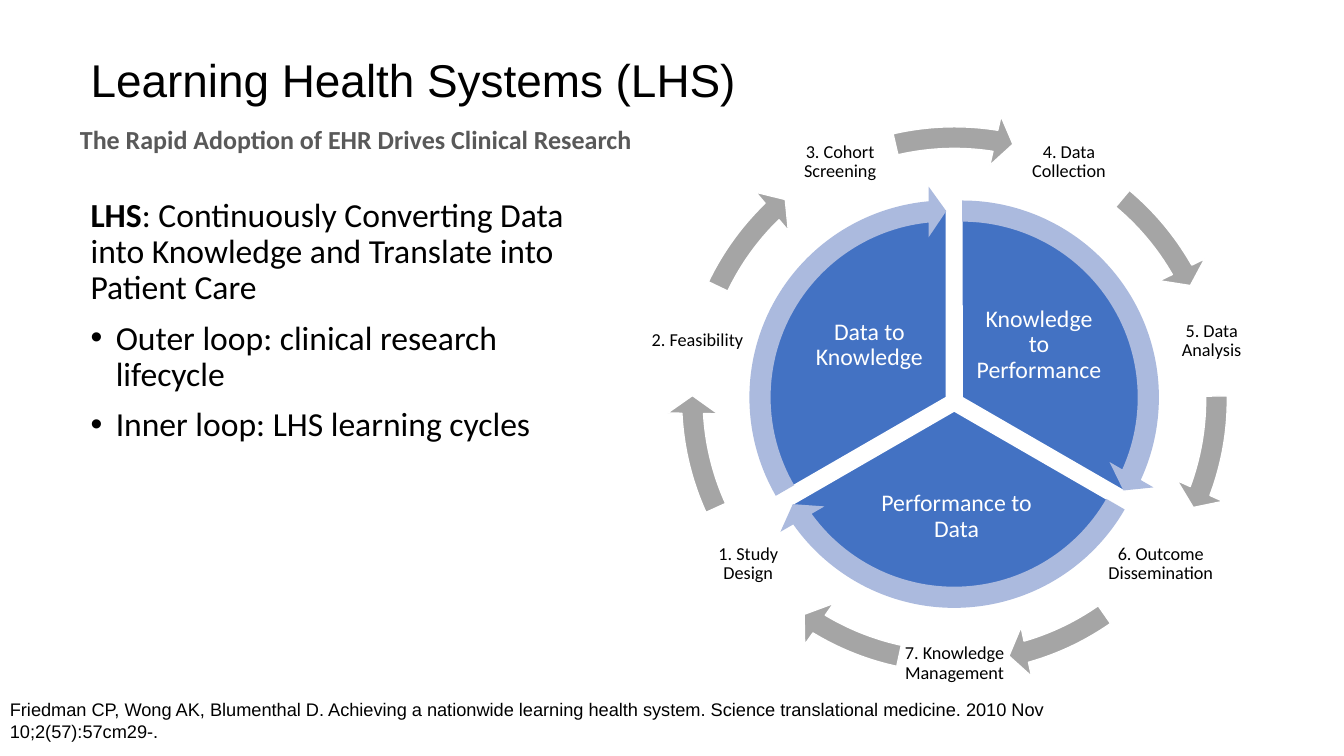
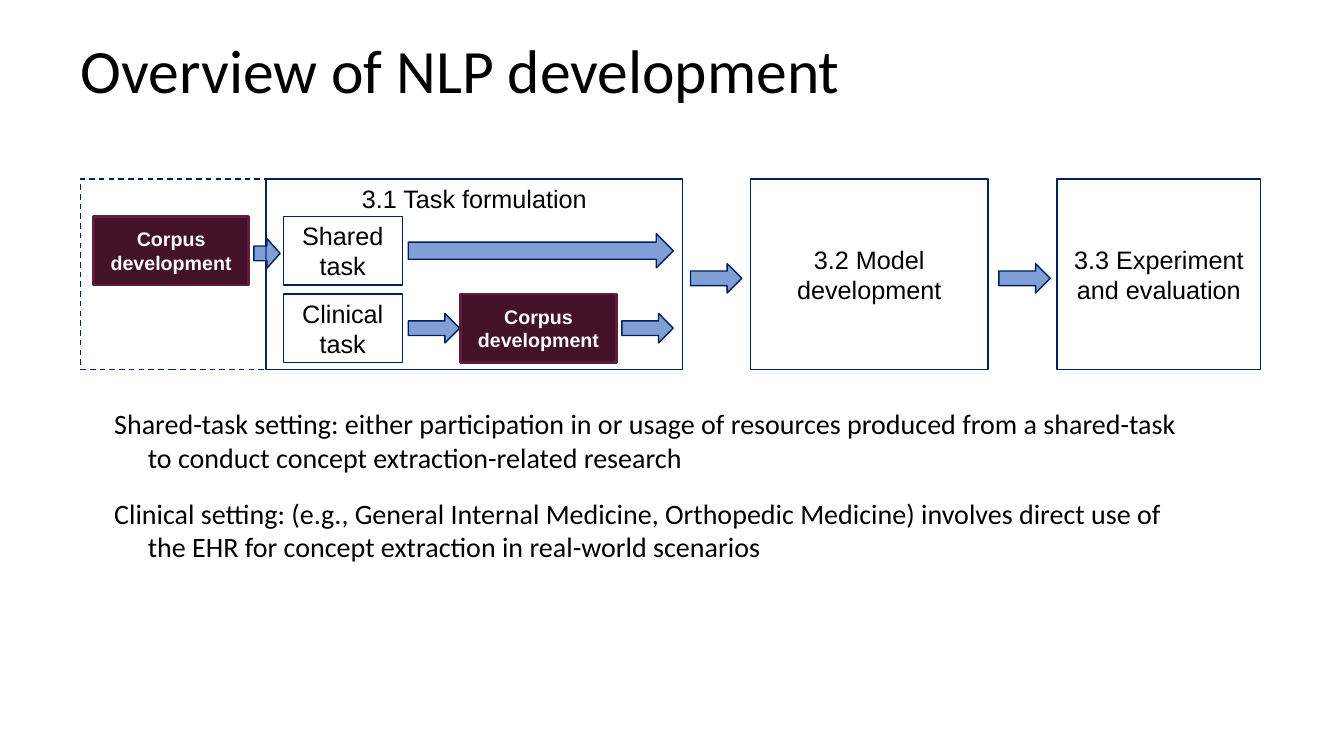
"""Build two slides: learning health system cycles and the NLP development flow."""
import dataclasses
import math
import typing

import lxml.etree
import pptx
import pptx.dml.color
import pptx.enum.dml
import pptx.enum.shapes
import pptx.enum.text
import pptx.oxml.ns
import pptx.util

Pt = pptx.util.Pt
Align = pptx.enum.text.PP_ALIGN
Anchor = pptx.enum.text.MSO_ANCHOR
Shapes = pptx.enum.shapes.MSO_SHAPE
Point = tuple[float, float]


@dataclasses.dataclass(frozen=True)
class Theme:
    sans: str = "Arial"
    body: str = "Calibri"
    black: str = "000000"
    white: str = "FFFFFF"
    gray: str = "595959"
    pie: str = "4372C3"
    pie_arrow: str = "ABBADE"
    loop_arrow: str = "A5A5A5"
    navy: str = "002060"
    flow_arrow: str = "4472C4"
    corpus: str = "431228"
    corpus_edge: str = "621B3B"
    title_small: float = 32.8
    title_large: float = 44
    subtitle: float = 18.6
    lead: float = 24
    notes: float = 20
    step: float = 18
    pie_label: float = 17
    corpus_label: float = 14
    small: float = 13


THEME = Theme()


@dataclasses.dataclass(frozen=True)
class Box:
    left: float
    top: float
    width: float
    height: float

    def points(self) -> list[pptx.util.Length]:
        return [Pt(value) for value in dataclasses.astuple(self)]


@dataclasses.dataclass(frozen=True)
class Style:
    size: float
    font: str = THEME.body
    color: str = THEME.black
    bold: bool = False
    align: typing.Any = Align.LEFT
    anchor: typing.Any = Anchor.TOP
    inset: Point = (7.2, 3.6)
    spacing: float = 1.0
    gap: float = 0


@dataclasses.dataclass(frozen=True)
class Line:
    text: str
    lead: str = ""
    margin: float = 0
    indent: float = 0
    bullet: str = ""


@dataclasses.dataclass(frozen=True)
class Ring:
    side: float
    thickness: float
    head_angle: float
    head_width: float
    fill: str
    edge: str = ""


@dataclasses.dataclass(frozen=True)
class Sector:
    label: str
    start: float
    label_box: Box


@dataclasses.dataclass(frozen=True)
class Stage:
    box: Box
    text: str
    style: Style
    fill: str = THEME.white
    edge: str = THEME.navy
    weight: float = 1
    dashed: bool = False


PIE_HUB: Point = (681.6, 287.1)
LOOP_HUB: Point = (681.8, 285.5)
PIE_SIDE = 268.6
PIE_OFFSET = 6.5
LABEL_RADIUS = 188.4
LABEL_SIDE = 79.2
PIE_RING = Ring(302.4, 0.05, 5.46, 0.06, THEME.pie_arrow)
LOOP_RING = Ring(410.4, 0.0376, 3.91, 0.0439, THEME.loop_arrow, THEME.white)

PIE_STYLE = Style(THEME.pie_label, color=THEME.white, align=Align.CENTER,
                  anchor=Anchor.MIDDLE, inset=(1.5, 1.5), spacing=0.9)
LOOP_STYLE = dataclasses.replace(PIE_STYLE, size=THEME.small, color=THEME.black)
STEP_STYLE = Style(THEME.step, THEME.sans, align=Align.CENTER,
                   anchor=Anchor.MIDDLE, inset=(9.4, 5))
TOP_STEP_STYLE = dataclasses.replace(STEP_STYLE, anchor=Anchor.TOP, inset=(9.4, 3))
CORPUS_STYLE = dataclasses.replace(STEP_STYLE, size=THEME.corpus_label,
                                   color=THEME.white, bold=True)

SECTORS = [
    Sector("Knowledge to Performance", 0, Box(694.3, 206.6, 95.8, 80)),
    Sector("Performance to Data", 120, Box(611.3, 334, 144, 70.6)),
    Sector("Data to Knowledge", 240, Box(573.1, 206.6, 95.8, 80)),
]
LOOP_LABELS = ["4. Data Collection", "5. Data Analysis", "6. Outcome Dissemination",
               "7. Knowledge Management", "1. Study Design", "2. Feasibility",
               "3. Cohort Screening"]
LOOP_ARROWS = [(39.9, 64.2), (89.2, 114.3), (145.1, 168), (192.2, 215),
               (245.6, 270.9), (295.6, 319.8), (347, 372.9)]


def color(value: str) -> pptx.dml.color.RGBColor:
    return pptx.dml.color.RGBColor.from_string(value)


def polar(center: Point, radius: float, degrees: float) -> Point:
    angle = math.radians(degrees)
    return center[0] + radius * math.sin(angle), center[1] - radius * math.cos(angle)


def square(center: Point, side: float) -> Box:
    return Box(center[0] - side / 2, center[1] - side / 2, side, side)


def angle_value(degrees: float) -> float:
    return degrees * 0.6


def clock_value(degrees: float) -> float:
    return angle_value((degrees + 270) % 360)


def paint(shape: typing.Any, fill: str = "", edge: str = "", weight: float = 1) -> None:
    shape.shadow.inherit = False
    if fill:
        shape.fill.solid()
        shape.fill.fore_color.rgb = color(fill)
    else:
        shape.fill.background()
    if edge:
        shape.line.color.rgb = color(edge)
        shape.line.width = Pt(weight)
    else:
        shape.line.fill.background()


def add_bullet(para: typing.Any, character: str) -> None:
    properties = para._p.get_or_add_pPr()
    for tag, name, value in [("a:buFont", "typeface", THEME.sans),
                             ("a:buChar", "char", character)]:
        lxml.etree.SubElement(properties, pptx.oxml.ns.qn(tag)).set(name, value)


def write(shape: typing.Any, lines: list[Line], style: Style) -> None:
    frame = shape.text_frame
    frame.word_wrap = True
    frame.vertical_anchor = style.anchor
    frame.margin_left = frame.margin_right = Pt(style.inset[0])
    frame.margin_top = frame.margin_bottom = Pt(style.inset[1])
    for index, line in enumerate(lines):
        para = frame.add_paragraph() if index else frame.paragraphs[0]
        para.text = line.lead or line.text
        if line.lead:
            para.add_run().text = line.text
        para.alignment = style.align
        para.line_spacing = style.spacing
        if index:
            para.space_before = Pt(style.gap)
        properties = para._p.get_or_add_pPr()
        properties.set("marL", str(Pt(line.margin)))
        properties.set("indent", str(Pt(line.indent)))
        if line.bullet:
            add_bullet(para, line.bullet)
        for number, span in enumerate(para.runs):
            span.font.name = style.font
            span.font.size = Pt(style.size)
            span.font.color.rgb = color(style.color)
            span.font.bold = style.bold or (bool(line.lead) and number == 0)


def add_text(page: typing.Any, box: Box, lines: list[Line], style: Style) -> None:
    write(page.shapes.add_textbox(*box.points()), lines, style)


def add_ring_arrow(page: typing.Any, center: Point, ring: Ring,
                   start: float, tip: float) -> None:
    box = square(center, ring.side)
    arrow = page.shapes.add_shape(Shapes.CIRCULAR_ARROW, *box.points())
    values = [ring.thickness, angle_value(ring.head_angle),
              clock_value(tip - ring.head_angle), clock_value(start), ring.head_width]
    for index, value in enumerate(values):
        arrow.adjustments[index] = value
    paint(arrow, ring.fill, ring.edge)


def add_stage(page: typing.Any, stage: Stage) -> None:
    shape = page.shapes.add_shape(Shapes.RECTANGLE, *stage.box.points())
    paint(shape, stage.fill, stage.edge, stage.weight)
    if stage.dashed:
        shape.line.dash_style = pptx.enum.dml.MSO_LINE.DASH
    if stage.text:
        write(shape, [Line(stage.text)], stage.style)


def add_flow_arrow(page: typing.Any, box: Box) -> None:
    shape = page.shapes.add_shape(Shapes.RIGHT_ARROW, *box.points())
    paint(shape, THEME.flow_arrow, THEME.navy)
    fill = shape._element.spPr.find(pptx.oxml.ns.qn("a:solidFill"))
    alpha = lxml.etree.SubElement(fill[0], pptx.oxml.ns.qn("a:alpha"))
    alpha.set("val", "68000")


def build_cycles(page: typing.Any) -> None:
    add_text(page, Box(57.6, 42.5, 867.6, 33.1), [Line("Learning Health Systems (LHS)")],
             Style(THEME.title_small, THEME.sans, anchor=Anchor.MIDDLE, spacing=0.9))
    add_text(page, Box(50, 84.6, 874.8, 29.5),
             [Line("The Rapid Adoption of EHR Drives Clinical Research")],
             Style(THEME.subtitle, color=THEME.gray, bold=True))
    centers = [polar(PIE_HUB, PIE_OFFSET, sector.start + 60) for sector in SECTORS]
    for sector, center in zip(SECTORS, centers):
        pie = page.shapes.add_shape(Shapes.PIE, *square(center, PIE_SIDE).points())
        pie.adjustments[0] = clock_value(sector.start)
        pie.adjustments[1] = clock_value(sector.start + 120)
        paint(pie, THEME.pie, THEME.white)
        add_text(page, sector.label_box, [Line(sector.label)], PIE_STYLE)
    for sector, center in zip(SECTORS, centers):
        add_ring_arrow(page, center, PIE_RING, sector.start, sector.start + 120)
    for index, (label, (start, tip)) in enumerate(zip(LOOP_LABELS, LOOP_ARROWS)):
        center = polar(LOOP_HUB, LABEL_RADIUS, (index + 0.5) * 360 / len(LOOP_LABELS))
        add_text(page, square(center, LABEL_SIDE), [Line(label)], LOOP_STYLE)
        add_ring_arrow(page, LOOP_HUB, LOOP_RING, start, tip)
    add_text(page, Box(57.6, 138.2, 368.6, 345.6), [
        Line(": Continuously Converting Data into Knowledge and Translate into Patient Care",
             lead="LHS"),
        Line("Outer loop: clinical research lifecycle", margin=18, indent=-18, bullet="•"),
        Line("Inner loop: LHS learning cycles", margin=18, indent=-18, bullet="•"),
    ], Style(THEME.lead, spacing=0.9, gap=10))
    add_text(page, Box(0, 491.8, 789.1, 46), [Line(
        "Friedman CP, Wong AK, Blumenthal D. Achieving a nationwide learning health system. "
        "Science translational medicine. 2010 Nov 10;2(57):57cm29-.")],
        Style(THEME.small, THEME.sans, inset=(7.2, 7.2)))


def build_overview(page: typing.Any) -> None:
    add_text(page, Box(57.6, 32.8, 711.4, 42.5), [Line("Overview of NLP development")],
             Style(THEME.title_large, anchor=Anchor.BOTTOM, inset=(0, 0), spacing=0.8))
    top, height = 127.8, 136
    upper, lower, row_height = 154.6, 210, 49
    for left, width, text, style in [
            (190.1, 297.4, "3.1 Task formulation", TOP_STEP_STYLE),
            (535.9, 170, "3.2 Model development", STEP_STYLE),
            (755, 145.6, "3.3 Experiment and evaluation", STEP_STYLE)]:
        add_stage(page, Stage(Box(left, top, width, height), text, style))
    add_stage(page, Stage(Box(57.6, top, 132.5, height), "", STEP_STYLE,
                          fill="", dashed=True))
    for row, text in [(upper, "Shared task"), (lower, "Clinical task")]:
        add_stage(page, Stage(Box(202.3, row, 85, row_height), text, STEP_STYLE))
    for left, row in [(66.8, upper), (329.2, lower)]:
        add_stage(page, Stage(Box(left, row, 111, row_height), "Corpus development",
                              CORPUS_STYLE, THEME.corpus, THEME.corpus_edge, 2))
    for left, middle, width, thickness in [
            (291.6, 179.1, 189.4, 24.5), (291.6, 234.4, 36.7, 21),
            (444.2, 234.4, 36.7, 21), (493.2, 198.8, 36.7, 21),
            (713.5, 198.8, 36.7, 21), (181.4, 181, 18.7, 21)]:
        add_flow_arrow(page, Box(left, middle - thickness / 2, width, thickness))
    add_text(page, Box(57.6, 290.4, 787, 159), [
        Line("Shared-task setting: either participation in or usage of resources produced "
             "from a shared-task to conduct concept extraction-related research",
             margin=48, indent=-24),
        Line("Clinical setting: (e.g., General Internal Medicine, Orthopedic Medicine) involves "
             "direct use of the EHR for concept extraction in real-world scenarios",
             margin=48, indent=-24),
    ], Style(THEME.notes, inset=(0, 0), gap=16))


def main() -> None:
    deck = pptx.Presentation()
    deck.slide_width, deck.slide_height = Pt(960), Pt(540)
    for build in (build_cycles, build_overview):
        build(deck.slides.add_slide(deck.slide_layouts[6]))
    deck.save("out.pptx")


if __name__ == "__main__":
    main()
